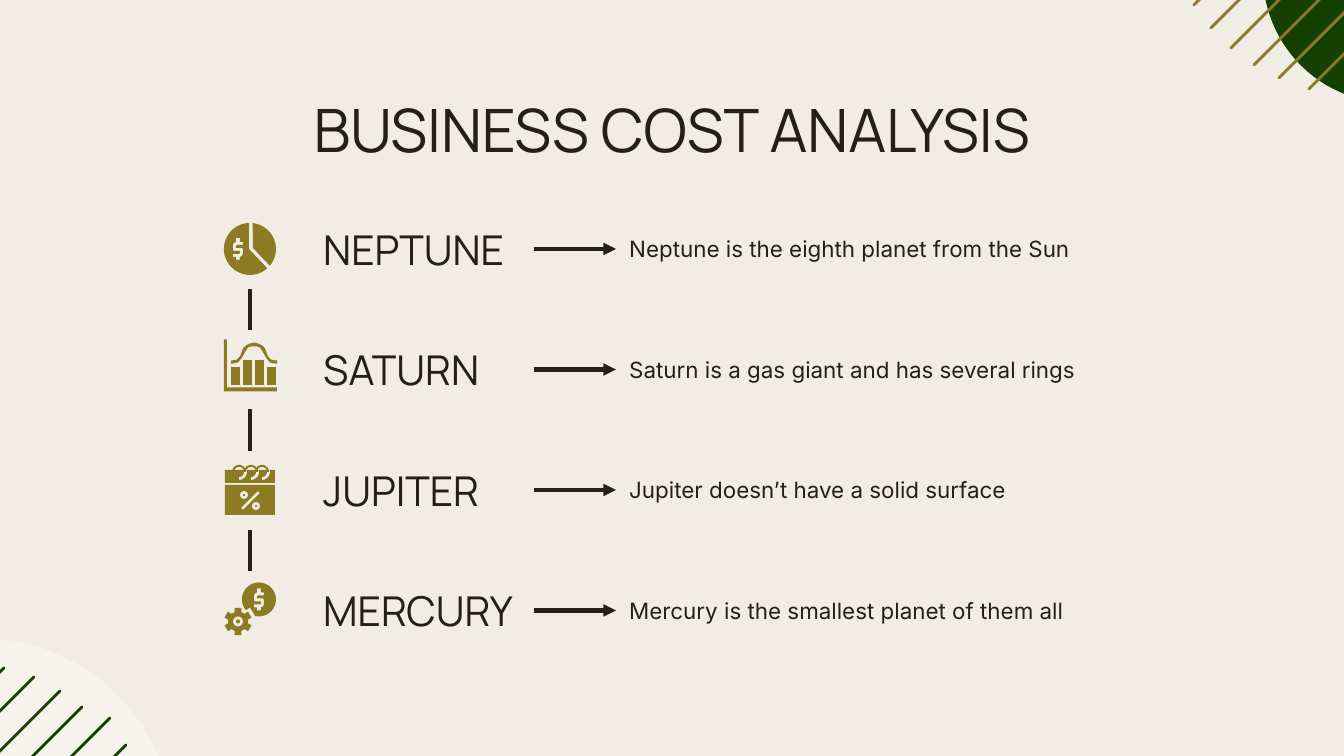
import math
from lxml import etree
from pptx import Presentation
from pptx import util as u
from pptx.dml.color import RGBColor
from pptx.enum import shapes, text
from pptx.oxml.ns import qn

BG, INK, GOLD, GREEN, WHITE = "F2EDE4", "261E17", "8C7B23", "154001", "FFFFFF"
SCALE = 914400 / 134.4
ROW_Y, PITCH, AXIS_X = 249, 120.5, 250

TITLE = "BUSINESS COST ANALYSIS"
ROWS = [
    ("NEPTUNE", "Neptune is the eighth planet from the Sun"),
    ("SATURN", "Saturn is a gas giant and has several rings"),
    ("JUPITER", "Jupiter doesn’t have a solid surface"),
    ("MERCURY", "Mercury is the smallest planet of them all"),
]
DISCS = [(1263, -155, 258, 258, GREEN, 100), (-216, 638, 390, 387, WHITE, 36)]
STRIPES = {
    GOLD: [(1194, 5, 262), (1211, 28, 278), (1231, 48, 281),
           (1254, 65, 272), (1279, 78, 250), (1309, 89, 230)],
    GREEN: [(4, 668, 230), (34, 677, 249), (60, 691, 262),
            (82, 707, 268), (110, 718, 276), (126, 745, 269)],
}
DOLLAR = [(2, -11), (2, -7), (5, -7), (5, -4), (-1, -4), (-2, -3), (-2, -1),
          (4, -1), (5, 0), (5, 5), (4, 7), (2, 8), (2, 11), (-2, 11), (-2, 8),
          (-5, 8), (-5, 5), (1, 5), (2, 4), (2, 2), (-4, 2), (-5, 1),
          (-5, -4), (-4, -6), (-2, -7), (-2, -11)]
HALF_BELL = [(4, -23), (1, -23), (-2, -22), (-4, -19), (-8, -12), (-12, -7),
             (-17, -6), (-19, -6), (-19, -9), (-17, -9), (-13, -10),
             (-10, -13), (-7, -21), (-4, -24), (0, -26), (4, -27)]


def px(n):
    return u.Emu(round(n * SCALE))


def color(h):
    return RGBColor.from_string(h)


def polar(cx, cy, r, deg):
    a = math.radians(deg)
    return cx + r * math.cos(a), cy + r * math.sin(a)


def arc(cx, cy, r, start, end, steps=32):
    return [polar(cx, cy, r, start + (end - start) * k / steps)
            for k in range(steps + 1)]


def circle(cx, cy, r):
    return arc(cx, cy, r, 0, 360)


def band(cx, cy, inner, outer, start, end):
    return arc(cx, cy, outer, start, end) + arc(cx, cy, inner, end, start)


def box(left, top, right, bottom):
    return [(left, top), (right, top), (right, bottom), (left, bottom)]


def shift(points, dx, dy):
    return [(x + dx, y + dy) for x, y in points]


def gear(cx, cy, inner, outer):
    return [polar(cx, cy, r, 60 * k + 30 + a) for k in range(6)
            for r, a in ((inner, -20), (outer, -14), (outer, 14), (inner, 20))]


def pie_icon():
    return [[arc(0, 0, 26, -92, -312) + [(-1, 0)], shift(DOLLAR, -12, 0)],
            [arc(0, 0, 26, -84, 40) + [(3, -1)]]]


def chart_icon():
    axes = [(-26, -30), (-23, -30), (-23, 18), (27, 18), (27, 22), (-26, 22)]
    bell = HALF_BELL + [(8 - x, y) for x, y in reversed(HALF_BELL)]
    bars = [[box(x, top, x + 9, 16)]
            for x, top in zip(range(-19, 27, 12), (-2, -9, -9, -2))]
    return [[axes], [bell]] + bars


def calendar_icon():
    rings = (-11, 1, 12)
    page = [box(-25, -5, 25, 25), [(8, 1), (10, 3), (-7, 20), (-9, 18)]]
    for x, y in ((-6, 5), (6, 16)):
        page += [circle(x, y, 4), circle(x, y, 1)]
    header = [box(-25, -20, 25, -7)] + [band(x, -18, 5, 8, -15, 90) for x in rings]
    return [page, header] + [[band(x, -18, 5, 7, 180, 360)] for x in rings]


def gear_icon():
    coin = arc(9, -11, 17, 140, 463) + [(0, -3)]
    return [[coin, shift(DOLLAR, 9, -11)],
            [gear(-12, 11, 10, 14), circle(-12, 11, 5), circle(-12, 11, 2)]]


ICONS = [pie_icon, chart_icon, calendar_icon, gear_icon]


def paint(sp, fill, alpha=100):
    sp.shadow.inherit = False
    sp.fill.solid()
    sp.fill.fore_color.rgb = color(fill)
    sp.line.fill.background()
    if alpha < 100:
        clr = sp.fill._xPr.find(".//" + qn("a:srgbClr"))
        etree.SubElement(clr, qn("a:alpha")).set("val", str(alpha * 1000))
    return sp


def add_outline(s, contours, x, y):
    contours = [[(px(a), px(b)) for a, b in shift(c, x, y)] for c in contours]
    fb = s.shapes.build_freeform(*contours[0][0], scale=1.0)
    fb.add_line_segments(contours[0][1:])
    for c in contours[1:]:
        fb.move_to(*c[0])
        fb.add_line_segments(c[1:])
    paint(fb.convert_to_shape(), GOLD)


def add_line(s, ends, line, width, cap="flat", arrow=False):
    cn = s.shapes.add_connector(shapes.MSO_CONNECTOR.STRAIGHT, *map(px, ends))
    cn.line.color.rgb = color(line)
    cn.line.width = u.Pt(width)
    sp_pr = cn._element.spPr
    ln = sp_pr.find(qn("a:ln"))
    ln.set("cap", cap)
    if arrow:
        etree.SubElement(ln, qn("a:tailEnd")).set("type", "triangle")
    etree.SubElement(sp_pr, qn("a:effectLst"))
    return cn


def write(sp, words, size, font, align=text.PP_ALIGN.LEFT):
    tf = sp.text_frame
    tf.text = words
    tf.word_wrap = True
    tf.auto_size = text.MSO_AUTO_SIZE.NONE
    tf.vertical_anchor = text.MSO_ANCHOR.MIDDLE
    tf.margin_left = tf.margin_right = u.Inches(0.1)
    tf.margin_top = tf.margin_bottom = u.Inches(0.1)
    p = tf.paragraphs[0]
    p.alignment = align
    f = p.runs[0].font
    f.size, f.name, f.color.rgb = u.Pt(size), font, color(INK)
    return sp


def add_text(s, left, top, width, height, words, size, font):
    sp = s.shapes.add_textbox(*map(px, (left, top, width, height)))
    return write(sp, words, size, font)


def main():
    prs = Presentation()
    prs.slide_width, prs.slide_height = px(1344), px(756)
    s = prs.slides.add_slide(prs.slide_layouts[5])
    s.background.fill.solid()
    s.background.fill.fore_color.rgb = color(BG)

    for *frame, fill, alpha in DISCS:
        paint(s.shapes.add_shape(shapes.MSO_SHAPE.OVAL, *map(px, frame)), fill, alpha)
    for hue, stripes in STRIPES.items():
        for x, y, length in stripes:
            dx, dy = (length, -length) if hue == GOLD else (-length, length)
            add_line(s, (x, y, x + dx, y + dy), hue, 1.5, "rnd")

    title = s.shapes.title
    title.left, title.top, title.width, title.height = map(px, (105, 77, 1134, 103))
    write(title, TITLE, 32, "Manrope", text.PP_ALIGN.CENTER)

    above = None
    for i, ((name, detail), icon) in enumerate(zip(ROWS, ICONS)):
        y = ROW_Y + PITCH * i
        label = add_text(s, 310, y - 34, 224, 68, name, 22, "Manrope")
        note = add_text(s, 616, y - 34, 489, 68, detail, 12, "Inter")
        arrow = add_line(s, (534, y, 616, y), INK, 2.25, arrow=True)
        arrow.begin_connect(label, 3)
        arrow.end_connect(note, 1)

        tile = paint(s.shapes.add_shape(
            shapes.MSO_SHAPE.RECTANGLE, *map(px, (AXIS_X - 34, y - 39, 68, 79))), BG)
        for contours in icon():
            add_outline(s, contours, AXIS_X, y)
        if above:
            link = add_line(s, (AXIS_X, y - 80, AXIS_X, y - 39), INK, 2.25)
            link.begin_connect(above, 2)
            link.end_connect(tile, 0)
        above = tile

    prs.save("out.pptx")


if __name__ == "__main__":
    main()
